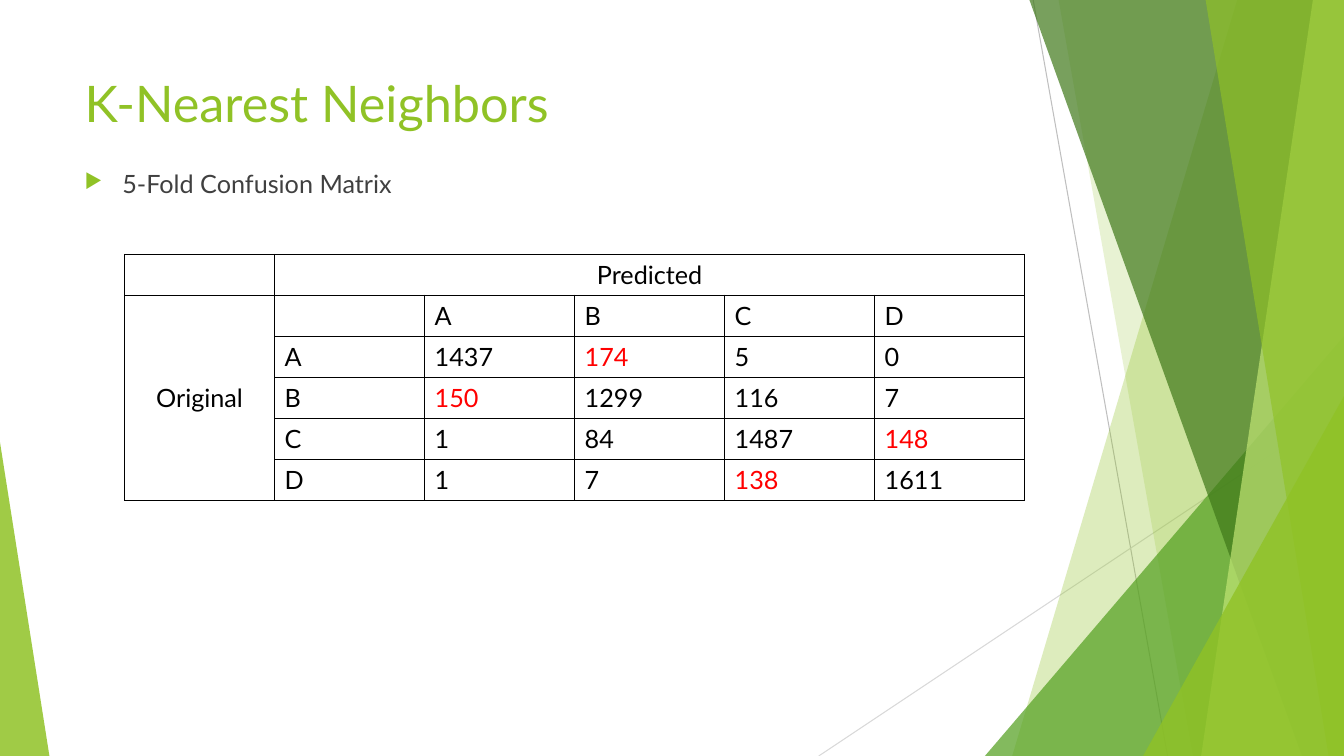
from dataclasses import dataclass

from lxml import etree
from pptx import Presentation
from pptx.dml.color import RGBColor
from pptx.enum import shapes, text
from pptx.oxml import ns
from pptx.util import Pt

LIME = RGBColor(0x90, 0xC2, 0x26)
PALE_LIME = RGBColor(0xC0, 0xE4, 0x74)
GREEN = RGBColor(0x54, 0xA0, 0x21)
DARK_GREEN = RGBColor(0x3F, 0x78, 0x19)
GRAY = RGBColor(0xBF, 0xBF, 0xBF)
LIGHT_GRAY = RGBColor(0xD9, 0xD9, 0xD9)
CHARCOAL = RGBColor(0x40, 0x40, 0x40)
BLACK = RGBColor(0, 0, 0)
RED = RGBColor(0xFF, 0, 0)

FONT = "Lato"
WIDTH, HEIGHT = 960, 540
FACET_TOP = -0.6
COLUMN_WIDTH, ROW_HEIGHT = 107.15, 29.28
CLASSES = ["A", "B", "C", "D"]
COUNTS = [
    [1437, 174, 5, 0],
    [150, 1299, 116, 7],
    [1, 84, 1487, 148],
    [1, 7, 138, 1611],
]
CONFUSION_THRESHOLD = 130


@dataclass
class Ray:
    start: tuple[float, float]
    end: tuple[float, float]
    color: RGBColor


@dataclass
class Facet:
    top_x: float
    bottom_x: float
    color: RGBColor
    opacity: int


@dataclass
class Triangle:
    left: float
    top: float
    width: float
    apex: float
    color: RGBColor
    opacity: int


RAYS = [
    Ray((738, 0), (834, HEIGHT), GRAY),
    Ray((WIDTH, 290), (584.8, HEIGHT), LIGHT_GRAY),
]
DECORATION = [
    Facet(884, 723, LIME, 30),
    Facet(756, 852, LIME, 20),
    Triangle(703.5, 240, 256.5, 1, GREEN, 72),
    Facet(735, 929.5, DARK_GREEN, 70),
    Facet(938, 858, PALE_LIME, 70),
    Facet(861, 949, LIME, 65),
    Triangle(816.5, 283, 143.5, 1, LIME, 80),
    Triangle(0, 316, 35.3, 0, LIME, 85),
]


def add_element(parent, tag: str, **attributes: str):
    element = etree.SubElement(parent, ns.qn(tag))
    for name, value in attributes.items():
        element.set(name, value)
    return element


def draw_ray(slide, ray: Ray) -> None:
    connector = slide.shapes.add_connector(
        shapes.MSO_CONNECTOR.STRAIGHT, *map(Pt, ray.start + ray.end))
    connector.line.color.rgb = ray.color
    connector.line.width = Pt(0.75)
    add_element(connector._element.spPr, "a:effectLst")


def draw_decoration(slide, item: Facet | Triangle) -> None:
    if isinstance(item, Facet):
        builder = slide.shapes.build_freeform(item.top_x, FACET_TOP, scale=Pt(1))
        builder.add_line_segments(
            [(WIDTH, FACET_TOP), (WIDTH, HEIGHT), (item.bottom_x, HEIGHT)], close=True)
        shape = builder.convert_to_shape()
    else:
        shape = slide.shapes.add_shape(
            shapes.MSO_SHAPE.ISOSCELES_TRIANGLE, Pt(item.left), Pt(item.top),
            Pt(item.width), Pt(HEIGHT - item.top))
        shape.adjustments[0] = item.apex
    shape.shadow.inherit = False
    shape.line.fill.background()
    shape.fill.solid()
    shape.fill.fore_color.rgb = item.color
    color = shape._element.spPr.find(".//" + ns.qn("a:srgbClr"))
    add_element(color, "a:alpha", val=str(item.opacity * 1000))


def add_run(paragraph, words: str, size: float, color: RGBColor) -> None:
    run = paragraph.add_run()
    run.text = words
    run.font.name = FONT
    run.font.size = Pt(size)
    run.font.color.rgb = color


def add_text_box(slide, top: float, height: float):
    box = slide.shapes.add_textbox(Pt(53.3), Pt(top), Pt(677), Pt(height))
    box.text_frame.word_wrap = True
    return box.text_frame.paragraphs[0]


def add_bullet(paragraph) -> None:
    properties = paragraph._p.get_or_add_pPr()
    properties.set("marL", str(Pt(27)))
    properties.set("indent", str(-Pt(27)))
    color = add_element(properties, "a:buClr")
    add_element(color, "a:srgbClr", val=str(LIME))
    add_element(properties, "a:buSzPct", val="80000")
    add_element(properties, "a:buChar", char="▶")


def style_cell(cell) -> None:
    properties = cell._tc.get_or_add_tcPr()
    for side in ("a:lnL", "a:lnR", "a:lnT", "a:lnB"):
        border = add_element(properties, side, w=str(Pt(1)))
        fill = add_element(border, "a:solidFill")
        add_element(fill, "a:srgbClr", val=str(BLACK))
    cell.fill.background()


def fill_cell(cell, words: str, color: RGBColor = BLACK, centered: bool = False) -> None:
    paragraph = cell.text_frame.paragraphs[0]
    if centered:
        paragraph.alignment = text.PP_ALIGN.CENTER
    add_run(paragraph, words, 18, color)


def add_confusion_matrix(slide) -> None:
    size = len(CLASSES) + 2
    frame = slide.shapes.add_table(
        size, size, Pt(89), Pt(181.7), Pt(COLUMN_WIDTH * size), Pt(ROW_HEIGHT * size))
    table = frame.table
    table.first_row = table.horz_banding = False
    for column in table.columns:
        column.width = Pt(COLUMN_WIDTH)
    for row in table.rows:
        row.height = Pt(ROW_HEIGHT)
        for cell in row.cells:
            style_cell(cell)

    predicted, original = table.cell(0, 1), table.cell(1, 0)
    predicted.merge(table.cell(0, size - 1))
    original.merge(table.cell(size - 1, 0))
    original.vertical_anchor = text.MSO_ANCHOR.MIDDLE
    fill_cell(predicted, "Predicted", centered=True)
    fill_cell(original, "Original", centered=True)

    for i, (label, counts) in enumerate(zip(CLASSES, COUNTS)):
        fill_cell(table.cell(1, i + 2), label)
        fill_cell(table.cell(i + 2, 1), label)
        for j, count in enumerate(counts):
            confused = i != j and count > CONFUSION_THRESHOLD
            fill_cell(table.cell(i + 2, j + 2), str(count), RED if confused else BLACK)


def main() -> None:
    presentation = Presentation()
    presentation.slide_width = Pt(WIDTH)
    presentation.slide_height = Pt(HEIGHT)
    slide = presentation.slides.add_slide(presentation.slide_layouts[6])

    for ray in RAYS:
        draw_ray(slide, ray)
    for item in DECORATION:
        draw_decoration(slide, item)

    title = add_text_box(slide, 48, 104)
    add_run(title, "K-Nearest Neighbors", 36, LIME)
    subtitle = add_text_box(slide, 116.6, 36.7)
    add_bullet(subtitle)
    add_run(subtitle, "5-Fold Confusion Matrix", 18, CHARCOAL)
    add_confusion_matrix(slide)

    presentation.save("out.pptx")


if __name__ == "__main__":
    main()
